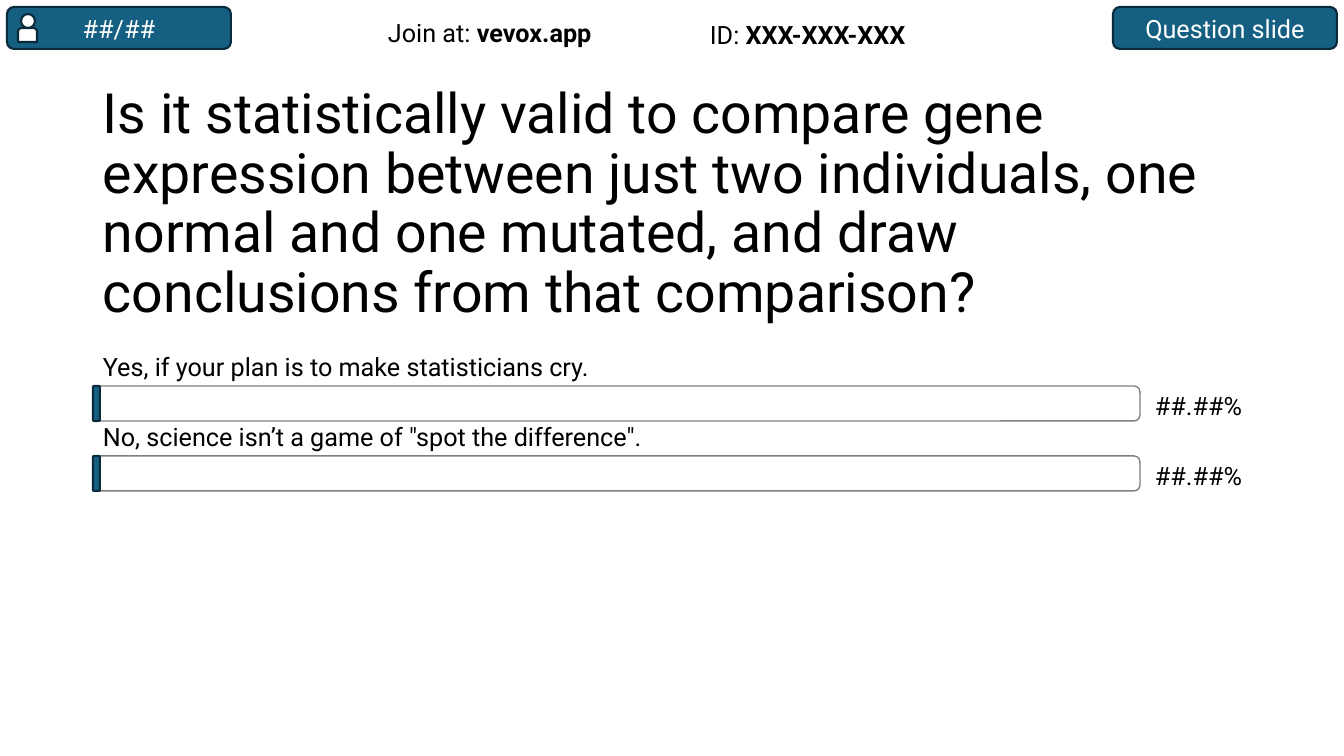
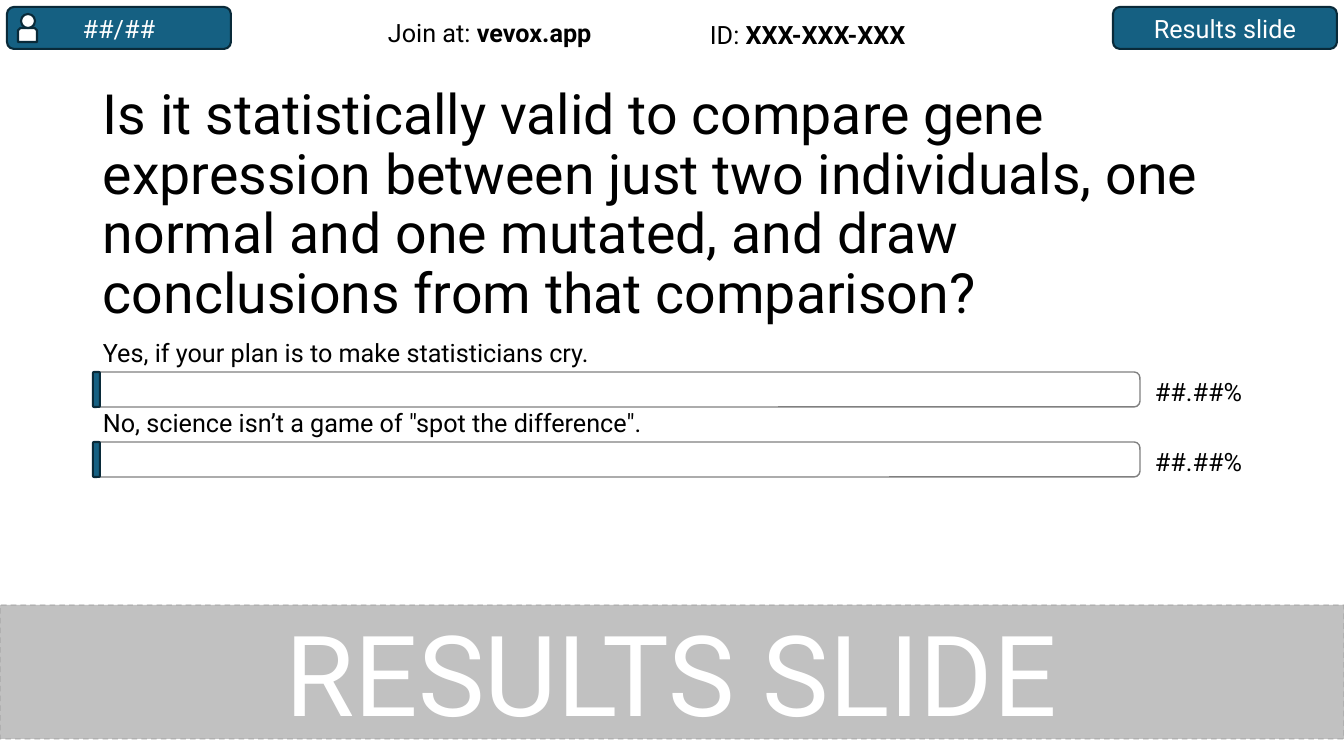
"""Build a poll question slide and its results slide."""
from pptx import Presentation
from pptx.dml.color import RGBColor
from pptx.enum.dml import MSO_LINE
from pptx.enum.shapes import MSO_SHAPE as Shape
from pptx.enum.text import MSO_ANCHOR as Anchor, PP_ALIGN as Align
from pptx.oxml.ns import qn
from pptx.oxml.xmlchemy import OxmlElement
from pptx.util import Pt

PX = 914400 / 100.8
WIDTH, HEIGHT = 1344, 756
FONT = "Roboto"
COLORS = {
    "ink": "000000",
    "paper": "FFFFFF",
    "accent": "156082",
    "accent_edge": "092A39",
    "grey": "808080",
    "banner": "666666",
}
QUESTION = (
    "Is it statistically valid to compare gene expression between just two "
    "individuals, one normal and one mutated, and draw conclusions from that "
    "comparison?"
)
ANSWERS = (
    "Yes, if your plan is to make statisticians cry.",
    'No, science isn’t a game of "spot the difference".',
)
LEFT, CONTENT_WIDTH = 93, 1159
BAR_WIDTH, BAR_HEIGHT, MARKER_WIDTH = 1047, 35, 7
PERCENT_WIDTH = CONTENT_WIDTH - BAR_WIDTH
PILL_WIDTH, PILL_HEIGHT, PILL_MARGIN = 224, 42, 7


def emu(*lengths):
    return [round(length * PX) for length in lengths]


def color(name):
    return RGBColor.from_string(COLORS[name])


def format_runs(paragraph, size, ink):
    for span in paragraph.runs:
        span.font.name = FONT
        span.font.size = Pt(size)
        span.font.color.rgb = color(ink)


def add_text(page, at, text, bold="", size=18, align=Align.LEFT,
             anchor=Anchor.TOP, vertical_inset=5, line_spacing=None):
    box = page.shapes.add_textbox(*emu(*at))
    frame = box.text_frame
    frame.word_wrap = True
    frame.vertical_anchor = anchor
    frame.margin_top, frame.margin_bottom = emu(vertical_inset, vertical_inset)
    para = frame.paragraphs[0]
    para.text = text
    if bold:
        span = para.add_run()
        span.text = bold
        span.font.bold = True
    para.alignment = align
    para.line_spacing = line_spacing
    format_runs(para, size, "ink")


def add_shape(page, kind, at, fill=None, line="accent_edge", weight=1.5):
    shape = page.shapes.add_shape(kind, *emu(*at))
    shape.shadow.inherit = False
    if fill:
        shape.fill.solid()
        shape.fill.fore_color.rgb = color(fill)
    else:
        shape.fill.background()
    shape.line.color.rgb = color(line)
    shape.line.width = Pt(weight)
    return shape


def set_label(shape, text, size=18):
    frame = shape.text_frame
    frame.margin_left = frame.margin_right = 0
    frame.margin_top = frame.margin_bottom = 0
    frame.vertical_anchor = Anchor.MIDDLE
    para = frame.paragraphs[0]
    para.text = text
    para.alignment = Align.CENTER
    format_runs(para, size, "paper")


def set_opacity(shape, percent):
    for tint in shape.element.spPr.iter(qn("a:srgbClr")):
        alpha = OxmlElement("a:alpha")
        alpha.set("val", str(percent * 1000))
        tint.append(alpha)


def add_pill(page, left, text):
    at = (left, PILL_MARGIN, PILL_WIDTH, PILL_HEIGHT)
    set_label(add_shape(page, Shape.ROUNDED_RECTANGLE, at, "accent"), text)


def add_header(page, status):
    add_pill(page, PILL_MARGIN, "##/##")
    add_pill(page, WIDTH - PILL_MARGIN - PILL_WIDTH, status)
    add_shape(page, Shape.SNIP_2_SAME_RECTANGLE, (18, 28, 19, 14), "paper")
    add_shape(page, Shape.OVAL, (21, 14, 14, 14), "paper")
    add_text(page, (378, 12, 266, 42), "Join at: ", "vevox.app")
    add_text(page, (700, 14, 266, 42), "ID: ", "XXX-XXX-XXX")


def add_answer(page, top, answer):
    bar_top = top + BAR_HEIGHT
    percent_top = bar_top - BAR_HEIGHT // 2 + 1
    add_text(page, (LEFT, top, CONTENT_WIDTH, BAR_HEIGHT), answer,
             vertical_inset=0)
    add_text(page, (LEFT + BAR_WIDTH, percent_top, PERCENT_WIDTH, 2 * BAR_HEIGHT),
             "##.##%", align=Align.RIGHT, anchor=Anchor.MIDDLE)
    add_shape(page, Shape.ROUNDED_RECTANGLE,
              (LEFT, bar_top, BAR_WIDTH, BAR_HEIGHT), line="grey", weight=1)
    add_shape(page, Shape.ROUNDED_RECTANGLE,
              (LEFT, bar_top, MARKER_WIDTH, BAR_HEIGHT), "accent")


def add_banner(page, text):
    banner = add_shape(page, Shape.RECTANGLE, (0, 605, WIDTH, 134),
                       "banner", "grey", 1)
    banner.line.dash_style = MSO_LINE.DASH
    set_opacity(banner, 40)
    set_label(banner, text, 80)


def add_poll_page(deck, status, title_top, answers_top):
    page = deck.slides.add_slide(deck.slide_layouts[6])
    add_text(page, (LEFT, title_top, CONTENT_WIDTH, 146), QUESTION, size=39.6,
             anchor=Anchor.MIDDLE, line_spacing=0.9)
    add_header(page, status)
    for index, answer in enumerate(ANSWERS):
        add_answer(page, answers_top + index * 2 * BAR_HEIGHT, answer)
    return page


def main():
    deck = Presentation()
    deck.slide_width, deck.slide_height = emu(WIDTH, HEIGHT)
    add_poll_page(deck, "Question slide", 132, 351)
    results = add_poll_page(deck, "Results slide", 133, 337)
    add_banner(results, "RESULTS SLIDE")
    deck.save("out.pptx")


if __name__ == "__main__":
    main()
